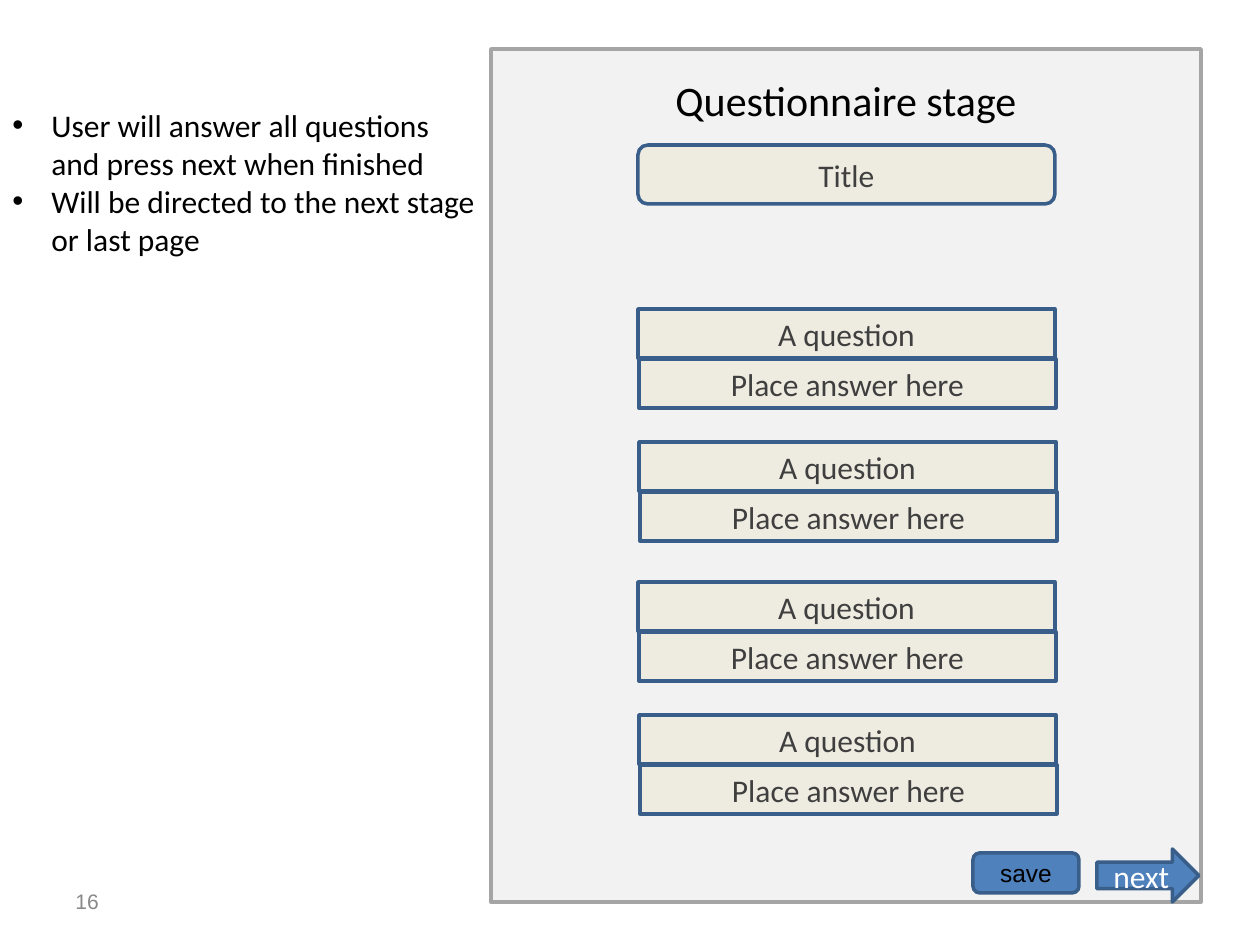
from lxml import etree
from pptx import Presentation, util as u
from pptx.dml.color import RGBColor
from pptx.enum import shapes, text
from pptx.oxml.ns import qn

# Content
HEADING = "Questionnaire stage"
NOTES = [
    "User will answer all questions and press next when finished",
    "Will be directed to the next stage or last page",
]
PAIR = ["A question", "Place answer here"]
PAGE_NUMBER = "16"

COLORS = {
    "panel": "F2F2F2", "panel_line": "A5A5A5",
    "field": "EEECE1", "button": "4F81BD", "line": "395E89",
    "field_text": "3F3F3F", "black": "000000", "white": "FFFFFF", "grey": "888888",
}

# Layout in px, 126 to the inch
PANEL = (491, 49, 710, 853)
FIELD_LEFT, FIELD_WIDTH, FIELD_HEIGHT = 638, 417, 49
PAIR_TOP, PAIR_PITCH, BLOCK_PITCH = 309, 133, 273
ANSWER_STEP = (1, 50)
BULLET_INDENT = 39

SHAPE = shapes.MSO_SHAPE
ANCHOR = text.MSO_ANCHOR
CENTER, LEFT = text.PP_ALIGN.CENTER, text.PP_ALIGN.LEFT


def px(n):
    return u.Emu(round(n * 914400 / 126))


def color(name):
    return RGBColor.from_string(COLORS[name])


def write(box, lines, size, ink, align=CENTER, anchor=ANCHOR.MIDDLE, font="Calibri", wrap=True):
    frame = box.text_frame
    frame.text = "\n".join(lines)
    frame.auto_size = text.MSO_AUTO_SIZE.NONE
    frame.word_wrap = wrap
    frame.vertical_anchor = anchor
    for para in frame.paragraphs:
        para.alignment = align
        para.font.size, para.font.name = u.Pt(size), font
        para.font.color.rgb = color(ink)


def add_box(parent, kind, place, fill, line="line"):
    box = parent.add_shape(kind, *map(px, place))
    box.shadow.inherit = False
    box.fill.solid()
    box.fill.fore_color.rgb = color(fill)
    box.line.color.rgb = color(line)
    box.line.width = u.Pt(2)
    return box


def add_bullet(para):
    props = para._p.get_or_add_pPr()
    props.set("marL", str(px(BULLET_INDENT)))
    props.set("indent", str(-px(BULLET_INDENT)))
    font = etree.Element(qn("a:buFont"), typeface="Arial")
    mark = etree.Element(qn("a:buChar"), char="•")
    props.insert_element_before(font, "a:buChar", "a:tabLst", "a:defRPr", "a:extLst")
    props.insert_element_before(mark, "a:tabLst", "a:defRPr", "a:extLst")


def main():
    deck = Presentation()
    deck.slide_width, deck.slide_height = px(1260), px(945)
    page = deck.slides.add_slide(deck.slide_layouts[5])

    # Panel with its heading in front
    panel = add_box(page.shapes, SHAPE.RECTANGLE, PANEL, "panel", "panel_line")
    heading = page.shapes.title
    heading.left, heading.top, heading.width, heading.height = map(px, (491, 68, 710, 63))
    write(heading, [HEADING], 24, "black", anchor=ANCHOR.TOP)
    panel.element.addnext(heading.element)

    # Title field
    title_field = add_box(page.shapes, SHAPE.ROUNDED_RECTANGLE, (FIELD_LEFT, 145, FIELD_WIDTH, 59), "field")
    write(title_field, ["Title"], 18, "field_text")

    # Two blocks of two question and answer pairs
    for block in range(2):
        for row in range(2):
            group = page.shapes.add_group_shape()
            left = FIELD_LEFT + row
            top = PAIR_TOP + block * BLOCK_PITCH + row * PAIR_PITCH
            for step, label in enumerate(PAIR):
                place = (left + step * ANSWER_STEP[0], top + step * ANSWER_STEP[1],
                         FIELD_WIDTH, FIELD_HEIGHT)
                field = add_box(group.shapes, SHAPE.RECTANGLE, place, "field")
                write(field, [label], 18, "field_text")

    # Notes on the left
    notes = page.shapes.add_textbox(*map(px, (0, 100, 491, 165)))
    write(notes, NOTES, 18, "black", LEFT, ANCHOR.TOP)
    for para in notes.text_frame.paragraphs:
        add_bullet(para)

    # Buttons
    next_button = add_box(page.shapes, SHAPE.RIGHT_ARROW, (1097, 849, 102, 53), "button")
    write(next_button, ["next"], 18, "white", wrap=False)
    save_button = add_box(page.shapes, SHAPE.ROUNDED_RECTANGLE, (973, 853, 106, 40), "button")
    write(save_button, ["save"], 14, "black", font="Arial")

    # Page number
    number = page.shapes.add_textbox(*map(px, (63, 876, 294, 50)))
    write(number, [PAGE_NUMBER], 12, "grey", LEFT, font="Arial")

    deck.save("out.pptx")


if __name__ == "__main__":
    main()
